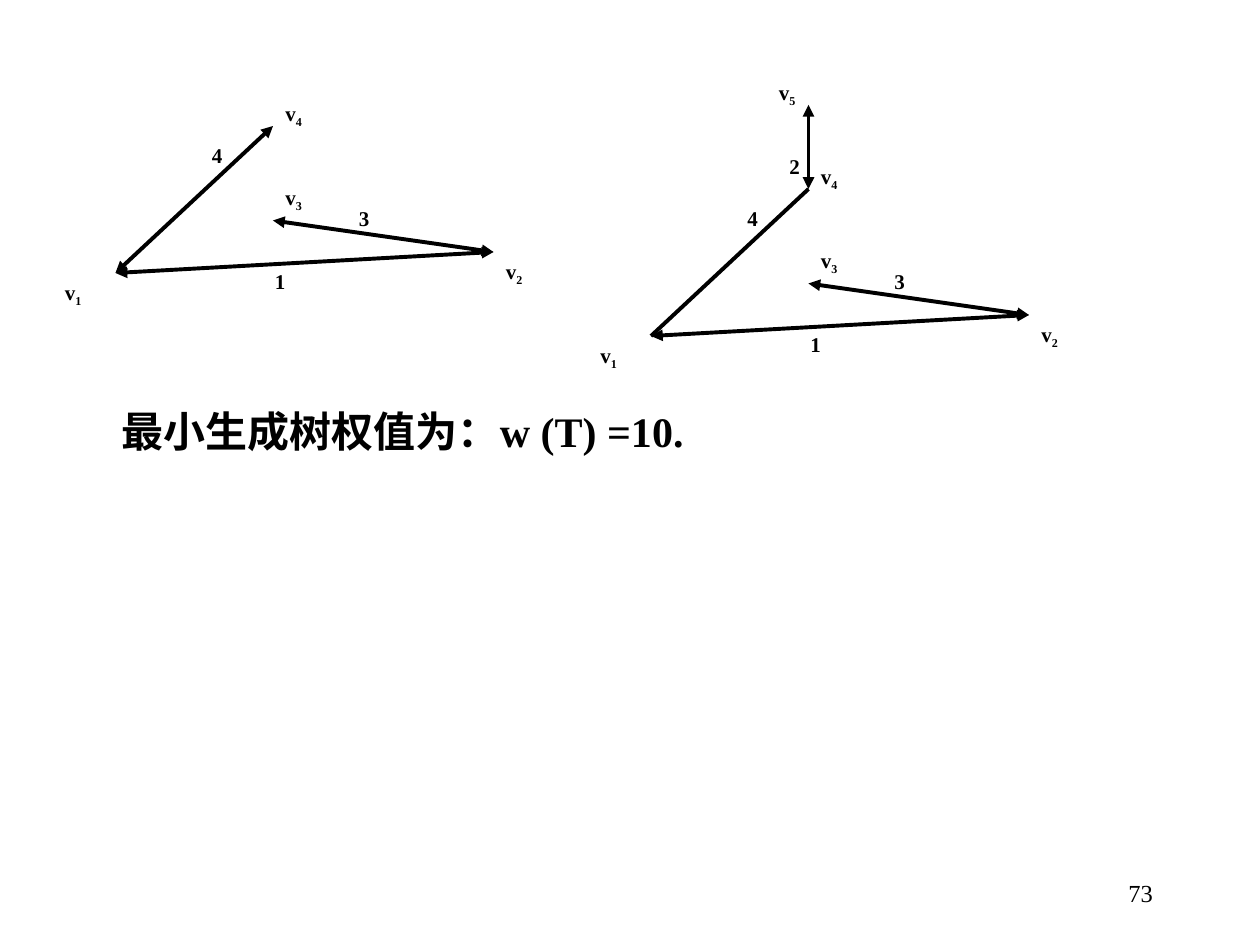
"""Build a slide with the last two steps of growing a minimum spanning tree."""
from lxml import etree
from pptx import Presentation
from pptx.dml.color import RGBColor
from pptx.enum.shapes import MSO_CONNECTOR
from pptx.enum.text import MSO_ANCHOR, MSO_AUTO_SIZE, PP_ALIGN
from pptx.oxml.ns import qn
from pptx.util import Inches, Pt

STRAIGHT = MSO_CONNECTOR.STRAIGHT
TOP, MIDDLE = MSO_ANCHOR.TOP, MSO_ANCHOR.MIDDLE
LEFT, RIGHT = PP_ALIGN.LEFT, PP_ALIGN.RIGHT
BLACK = RGBColor(0, 0, 0)
UNIT = Inches(1) // 12

NODES = {"1": (11, 26), "2": (47, 24), "3": (26, 21), "4": (26, 12), "5": (26, 4)}
NODE_LABELS = {"1": (5, 26), "2": (47, 24), "3": (26, 17), "4": (26, 9), "5": (22, 1)}
WEIGHTS = {"1": (25, 25), "2": (23, 8), "3": (33, 19), "4": (19, 13)}
STEPS = [
    {"offset": (0, 0), "nodes": "1234", "weights": "431",
     "edges": [("1", "2", True), ("4", "1", True), ("3", "2", True)]},
    {"offset": (51, 6), "nodes": "12345", "weights": "4321",
     "edges": [("1", "2", True), ("5", "4", True), ("4", "1", False), ("3", "2", True)]},
]


def grid(*cells):
    return [round(cell * UNIT) for cell in cells]


def write(sp, text, sub="", size=12, bold=True, align=LEFT, anchor=TOP):
    tf = sp.text_frame
    frame = {"word_wrap": True, "auto_size": MSO_AUTO_SIZE.NONE, "vertical_anchor": anchor}
    for name, value in frame.items():
        setattr(tf, name, value)
    p = tf.paragraphs[0]
    p.alignment = align
    for part in filter(None, (text, sub)):
        r = p.add_run()
        r.text = part
        for name, value in {"name": "Times New Roman", "size": Pt(size), "bold": bold}.items():
            setattr(r.font, name, value)
        r.font.color.rgb = BLACK
    if sub:
        r.font._element.set("baseline", "-25000")
    return p


prs = Presentation()
prs.slide_width, prs.slide_height = grid(120, 90)
s = prs.slides.add_slide(prs.slide_layouts[5])

sp = s.shapes.title
sp.left, sp.top, sp.width, sp.height = grid(5, 38, 99, 6)
p = write(sp, "最小生成树权值为：w (T) =10.", size=24)
p._p.get_or_add_pPr().set("indent", str(Inches(0.45)))

sp = s.shapes.add_textbox(*grid(86, 82, 25, 6))
write(sp, "73", size=14, bold=False, align=RIGHT, anchor=MIDDLE)

for step in STEPS:
    tree = s.shapes.add_group_shape()
    dx, dy = step["offset"]
    for start, end, arrows in step["edges"]:
        (x1, y1), (x2, y2) = NODES[start], NODES[end]
        edge = tree.shapes.add_connector(STRAIGHT, *grid(x1 + dx, y1 + dy, x2 + dx, y2 + dy))
        edge.line.color.rgb = BLACK
        edge.line.width = Pt(2.25)
        etree.SubElement(edge._element.spPr, qn("a:effectLst"))
        for tip in ("a:headEnd", "a:tailEnd") if arrows else ():
            etree.SubElement(edge.line._get_or_add_ln(), qn(tip), type="triangle")
    for weight in step["weights"]:
        x, y = WEIGHTS[weight]
        write(tree.shapes.add_textbox(*grid(x + dx, y + dy, 4.2, 3.6)), weight)
    for node in step["nodes"]:
        x, y = NODE_LABELS[node]
        write(tree.shapes.add_textbox(*grid(x + dx, y + dy, 6.2, 4)), "v", node)

prs.save("out.pptx")
